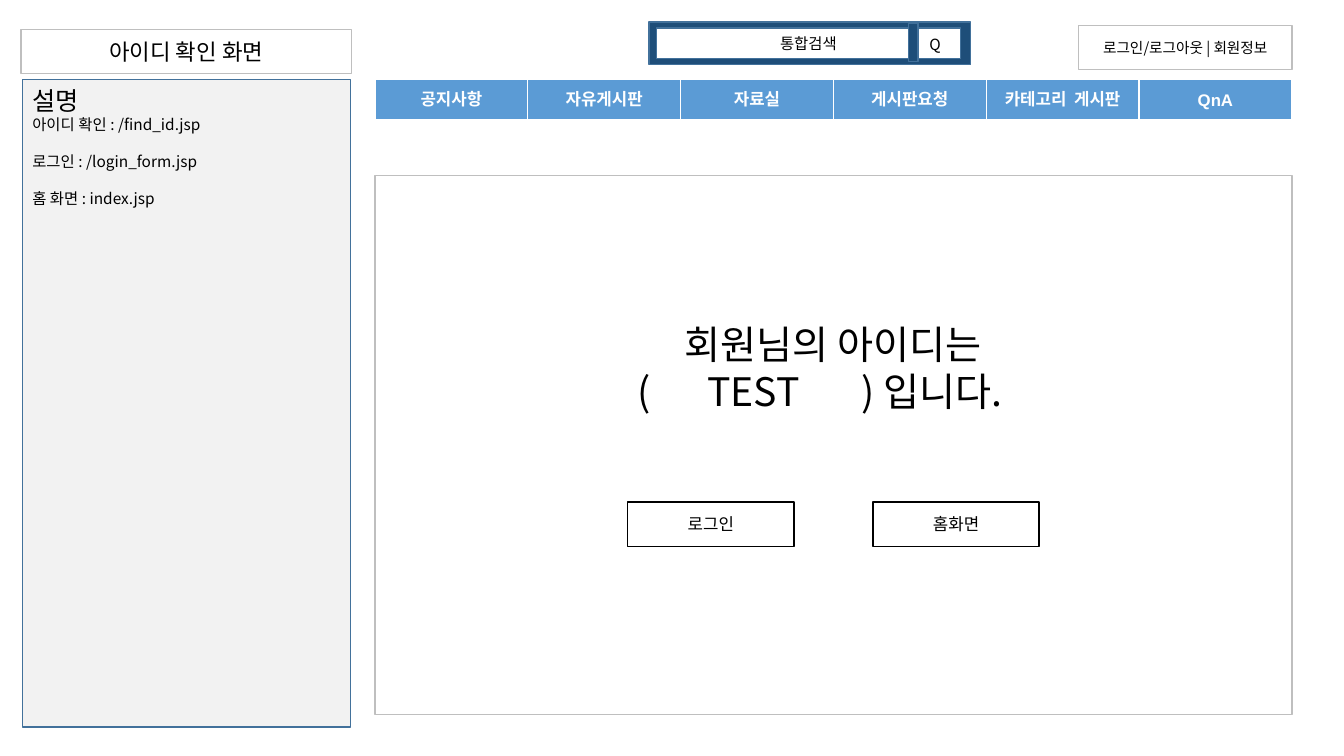
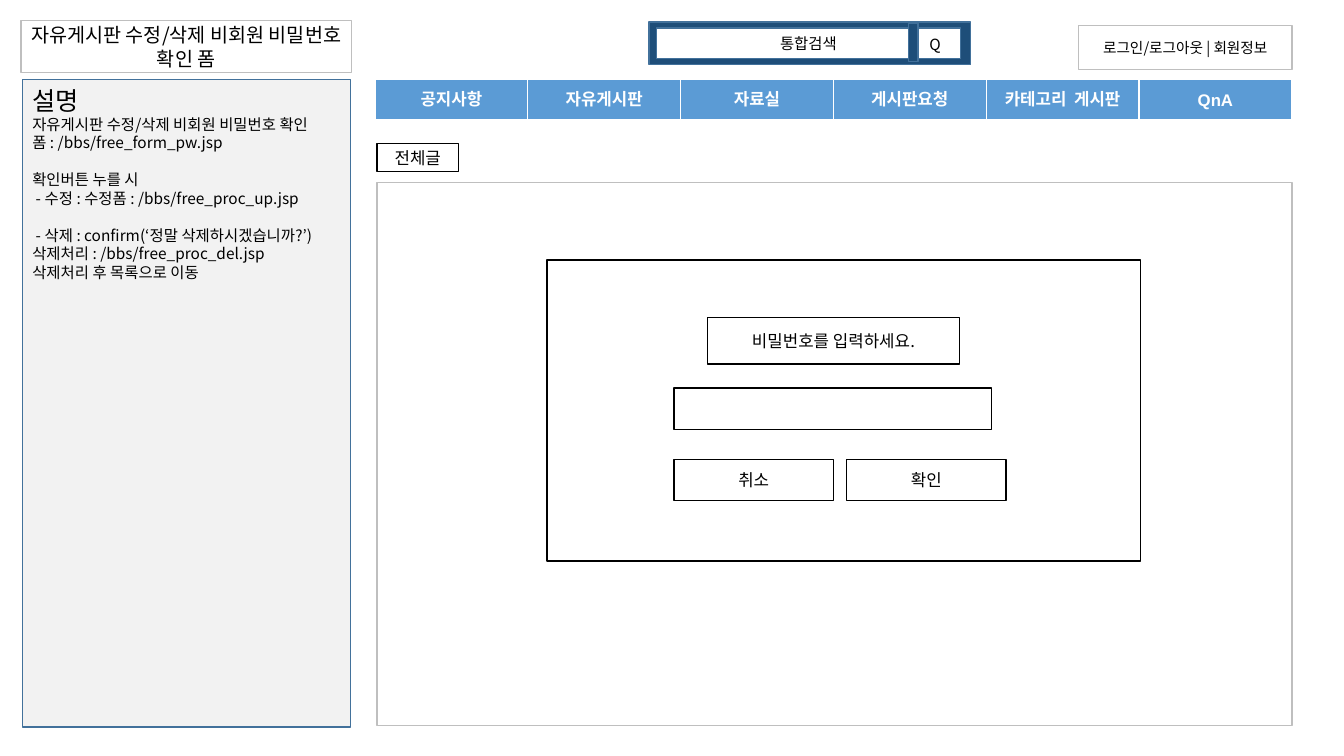
from dataclasses import dataclass
from typing import Optional

from lxml.etree import SubElement
from pptx import Presentation
from pptx.dml.color import RGBColor
from pptx.enum.shapes import MSO_SHAPE
from pptx.enum.text import MSO_ANCHOR as Anchor, MSO_AUTO_SIZE as AutoSize, PP_ALIGN as Align
from pptx.oxml import parse_xml
from pptx.oxml.ns import nsdecls, qn
from pptx.util import Cm, Pt

COLORS = {
    "white": "FFFFFF", "black": "000000", "gray": "BFBFBF", "panel": "F2F2F2",
    "navy": "1E4E79", "edge": "42719B", "menu": "5B9BD5",
}
FONT, MENU_FONT = "Noto Sans CJK KR", "Arial"
LEADING = 1.2
MENU = ["공지사항", "자유게시판", "자료실", "게시판요청", "카테고리  게시판", "QnA"]


@dataclass
class Rect:
    x: float
    y: float
    w: float
    h: float

    def lengths(self) -> tuple:
        return Cm(self.x), Cm(self.y), Cm(self.w), Cm(self.h)


@dataclass
class Box:
    rect: Rect
    text: str = ""
    size: float = 12
    fill: str = "white"
    line: str = "black"
    anchor: Anchor = Anchor.MIDDLE


@dataclass
class Note:
    text: str
    gap: bool = False  # one line of space above


@dataclass
class Screen:
    title: str
    title_rect: Rect
    title_size: float
    notes: list[Note]
    boxes: list[Box]
    message: Optional[list[str]] = None


def rgb(name: str) -> RGBColor:
    return RGBColor.from_string(COLORS[name])


# Text
def style_par(p, size: float, color: str = "black", align=Align.CENTER,
              font: str = FONT, bold: bool = False, gap: float = 0) -> None:
    p.alignment = align
    p.line_spacing = Pt(round(size * LEADING, 1))
    p.space_before, p.space_after = Pt(gap), Pt(0)
    for r in p.runs:
        f = r.font
        f.size, f.bold, f.name = Pt(size), bold, font
        f.color.rgb = rgb(color)
        SubElement(f._element, qn("a:ea"), typeface=FONT)


def style_box(sp, fill: str, line: str) -> None:
    sp.fill.solid()
    sp.fill.fore_color.rgb = rgb(fill)
    sp.line.color.rgb = rgb(line)
    sp.line.width = Pt(1)


def setup_frame(tf, anchor: Anchor) -> None:
    tf.word_wrap = True
    tf.auto_size = AutoSize.NONE
    tf.vertical_anchor = anchor


def add_box(shapes, box: Box) -> None:
    sp = shapes.add_shape(MSO_SHAPE.RECTANGLE, *box.rect.lengths())
    sp.shadow.inherit = False
    style_box(sp, box.fill, box.line)
    if box.text:
        tf = sp.text_frame
        setup_frame(tf, box.anchor)
        tf.text = box.text
        style_par(tf.paragraphs[0], box.size)


# Parts found on every screen
def add_search(s) -> None:
    shapes = s.shapes.add_group_shape().shapes
    add_box(shapes, Box(Rect(16.36, 0.56, 8.1, 1.07), fill="navy", line="edge"))
    add_box(shapes, Box(Rect(16.54, 0.71, 7.67, 0.76), "통합검색", 11, line="edge"))
    add_box(shapes, Box(Rect(22.89, 0.58, 0.25, 0.97), fill="navy", line="edge"))
    tf = shapes.add_textbox(*Rect(23.04, 0.51, 1.24, 1.02).lengths()).text_frame
    setup_frame(tf, Anchor.TOP)
    tf.margin_left, tf.margin_top = Cm(0.38), Cm(0.38)
    tf.text = "Q"
    style_par(tf.paragraphs[0], 11, align=Align.LEFT)


def add_menu(s) -> None:
    table = s.shapes.add_table(1, len(MENU), *Rect(9.45, 2.01, 23.11, 1.04).lengths()).table
    table.horz_banding = False
    for cell, label in zip(table.rows[0].cells, MENU):
        cell.text = label
        cell.vertical_anchor = Anchor.MIDDLE
        cell.fill.solid()
        cell.fill.fore_color.rgb = rgb("menu")
        style_par(cell.text_frame.paragraphs[0], 12, "white", font=MENU_FONT, bold=True)
        tc_pr = cell._tc.get_or_add_tcPr()
        for i, (side, pts) in enumerate((("L", 1), ("R", 1), ("T", 1), ("B", 3))):
            tc_pr.insert(i, parse_xml(
                f'<a:ln{side} {nsdecls("a")} w="{Pt(pts)}"><a:solidFill>'
                f'<a:srgbClr val="{COLORS["white"]}"/></a:solidFill></a:ln{side}>'))


def place(sp, rect: Rect) -> None:
    sp.left, sp.top, sp.width, sp.height = rect.lengths()


def fill_title(s, screen: Screen) -> None:
    sp = s.shapes.title
    place(sp, screen.title_rect)
    style_box(sp, "white", "gray")
    tf = sp.text_frame
    setup_frame(tf, Anchor.MIDDLE)
    tf.text = screen.title
    style_par(tf.paragraphs[0], screen.title_size)


def fill_notes(s, notes: list[Note]) -> None:
    sp = s.placeholders[1]
    place(sp, Rect(0.56, 2.01, 8.28, 16.31))
    style_box(sp, "panel", "edge")
    tf = sp.text_frame
    setup_frame(tf, Anchor.TOP)
    for i, note in enumerate([Note("설명"), *notes]):
        p = tf.add_paragraph() if i else tf.paragraphs[0]
        p.text = note.text
        style_par(p, 11 if i else 18, align=Align.LEFT,
                  gap=11 * LEADING if note.gap else 0)
        p_pr = p._p.get_or_add_pPr()
        p_pr.set("marL", "0")
        p_pr.set("indent", "0")
        SubElement(p_pr, qn("a:buNone"))


def add_message(s, lines: list[str]) -> None:
    tf = s.shapes.add_textbox(*Rect(15.82, 7.95, 10.36, 3.84).lengths()).text_frame
    setup_frame(tf, Anchor.TOP)
    for i, line in enumerate(lines):
        p = tf.add_paragraph() if i else tf.paragraphs[0]
        p.text = line
        tabbed = "\t" in line
        style_par(p, 28, align=Align.LEFT if tabbed else Align.CENTER)
        if tabbed:
            stops = SubElement(p._p.get_or_add_pPr(), qn("a:tabLst"))
            for pos in (1.75, 5.65):
                SubElement(stops, qn("a:tab"), pos=str(Cm(pos)), algn="l")


def add_screen(prs, screen: Screen) -> None:
    s = prs.slides.add_slide(prs.slide_layouts[1])
    fill_title(s, screen)
    fill_notes(s, screen.notes)
    add_box(s.shapes, Box(Rect(27.18, 0.64, 5.38, 1.12),
                          "로그인/로그아웃 | 회원정보", 10.5, line="gray"))
    add_search(s)
    add_menu(s)
    for box in screen.boxes:
        add_box(s.shapes, box)
    if screen.message:
        add_message(s, screen.message)


def button_row(labels: list[str], first: Rect, step: float) -> list[Box]:
    return [Box(Rect(first.x + i * step, first.y, first.w, first.h), label)
            for i, label in enumerate(labels)]


# Content of the screens
SCREENS = [
    Screen(
        "아이디 확인 화면", Rect(0.53, 0.74, 8.33, 1.12), 16,
        [Note("아이디 확인 : /find_id.jsp"),
         Note("로그인 : /login_form.jsp", gap=True),
         Note("홈 화면 : index.jsp", gap=True)],
        [Box(Rect(9.45, 4.42, 23.11, 13.59), line="gray"),
         *button_row(["로그인", "홈화면"], Rect(15.82, 12.65, 4.19, 1.12), 6.18)],
        ["회원님의 아이디는", "(\tTEST\t) 입니다."],
    ),
    Screen(
        "자유게시판 수정/삭제 비회원 비밀번호 확인 폼", Rect(0.53, 0.51, 8.33, 1.32), 14,
        [Note("자유게시판 수정/삭제 비회원 비밀번호 확인 폼 : /bbs/free_form_pw.jsp"),
         Note("확인버튼 누를 시", gap=True),
         Note(" - 수정 : 수정폼 : /bbs/free_proc_up.jsp"),
         Note(" - 삭제 : confirm(‘정말 삭제하시겠습니까?’)", gap=True),
         Note("삭제처리 : /bbs/free_proc_del.jsp"),
         Note("삭제처리 후 목록으로 이동")],
        [Box(Rect(9.5, 3.61, 2.06, 0.71), "전체글", anchor=Anchor.TOP),
         Box(Rect(9.5, 4.6, 23.06, 13.69), line="gray"),
         Box(Rect(13.79, 6.55, 14.96, 7.59)),
         Box(Rect(17.83, 8, 6.35, 1.17), "비밀번호를 입력하세요."),
         Box(Rect(16.99, 9.78, 8, 1.04)),
         *button_row(["취소", "확인"], Rect(16.99, 11.58, 4.01, 1.04), 4.35)],
    ),
]


def main() -> None:
    prs = Presentation()
    prs.slide_width, prs.slide_height = Cm(33.87), Cm(19.05)
    for screen in SCREENS:
        add_screen(prs, screen)
    prs.save("out.pptx")


if __name__ == "__main__":
    main()
